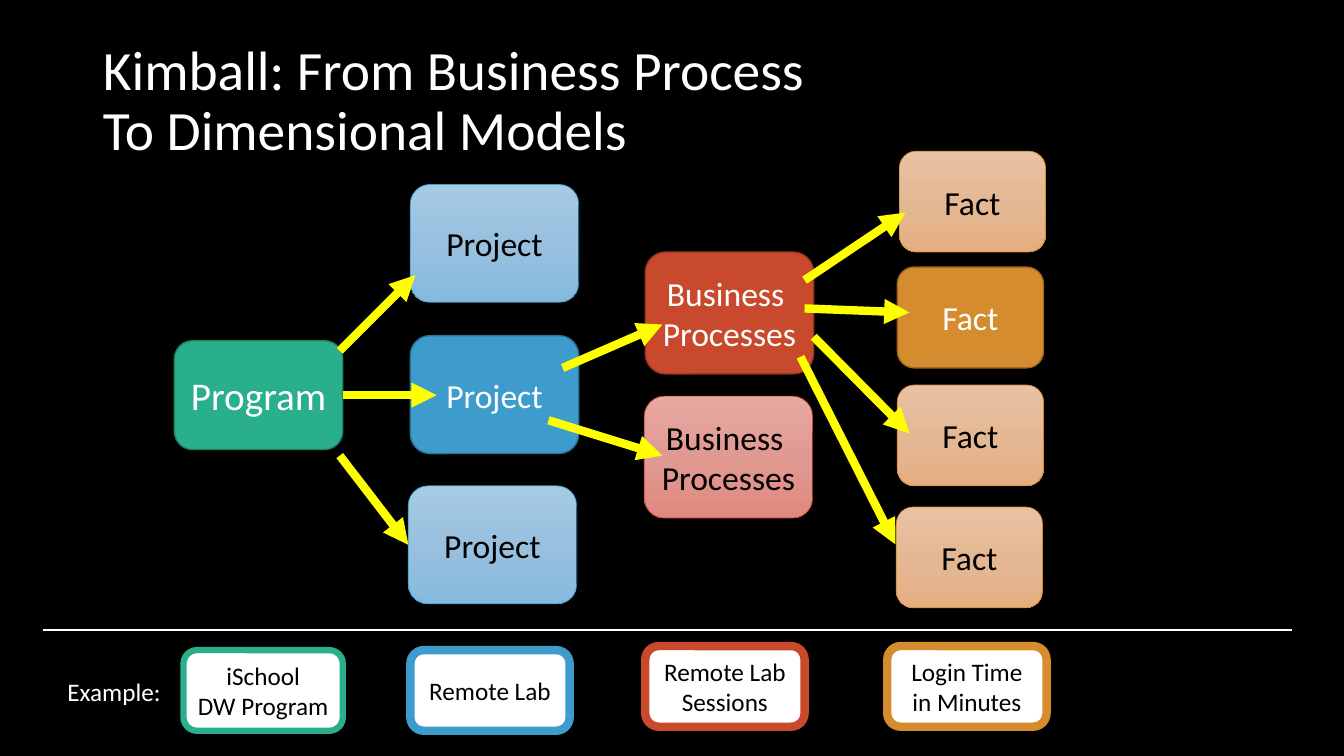
from copy import deepcopy

from lxml import etree
from pptx import Presentation
from pptx.dml.color import RGBColor
from pptx.enum import shapes, text
from pptx.oxml.ns import qn
from pptx.util import Inches, Pt

FONT = "Calibri"
C = {
    "black": "000000", "white": "FFFFFF", "arrow": "FFFF00",
    "green": "29AF8C", "blue": "3D9CCC", "red": "C9492C", "orange": "D58C2E",
}
EDGE = {"green": "1E8168", "blue": "2D7397", "red": "953621", "orange": "9E6822"}
PALE = {
    "blue": ("A6CAE4", "99C1DF", "85B9DE"),
    "red": ("E6A8A1", "E19A93", "E1887F"),
    "orange": ("E9C2A3", "E4B895", "E5AE81"),
}

TITLE = "Kimball: From Business Process \vTo Dimensional Models"
# wording, hue, text size, width, height, [(name, left, top, chosen)]
LEVELS = [
    ("Program", "green", 28, 1.67, 1.08, [("program", 1.73, 3.38, True)]),
    ("Project", "blue", 24, 1.67, 1.17, [
        ("project 1", 4.07, 1.83, False),
        ("project 2", 4.07, 3.33, True),
        ("project 3", 4.05, 4.82, False)]),
    ("Business \nProcesses", "red", 24, 1.67, 1.21, [
        ("process 1", 6.4, 2.5, True),
        ("process 2", 6.39, 3.93, False)]),
    ("Fact", "orange", 24, 1.45, 1.0, [
        ("fact 1", 8.92, 1.5, False),
        ("fact 2", 8.9, 2.65, True),
        ("fact 3", 8.9, 3.82, False),
        ("fact 4", 8.89, 5.03, False)]),
]
# start, end, box joined at its right side, box joined at its left side
ARROWS = [
    ((3.37, 3.48), (4.12, 2.73), None, None),
    ((3.4, 3.92), (4.33, 3.92), "program", None),
    ((3.37, 4.52), (4.05, 5.41), None, "project 3"),
    ((5.44, 4.17), (6.57, 4.52), None, None),
    ((5.58, 3.65), (6.57, 3.22), None, None),
    ((7.98, 2.78), (8.98, 2.11), None, None),
    ((8.07, 3.34), (9.02, 4.3), None, None),
    ((7.98, 3.06), (9.02, 3.1), None, None),
    ((7.94, 3.54), (8.88, 5.4), None, None),
]
# wording, hue, left, top, border width
EXAMPLES = [
    ("iSchool\vDW Program", "green", 1.82, 6.45, 4.5),
    ("Remote Lab", "blue", 4.07, 6.45, 6),
    ("Remote Lab\vSessions", "red", 6.4, 6.41, 6),
    ("Login Time in Minutes", "orange", 8.8, 6.41, 6),
]


def rgb(value):
    return RGBColor.from_string(value)


def write(sp, wording, size, color, align=None, anchor=None, wrap=True, spacing=None):
    tf = sp.text_frame
    tf.word_wrap = wrap
    tf.vertical_anchor = anchor
    tf.text = wording
    for p in tf.paragraphs:
        p.alignment = align
        p.line_spacing = spacing
        for r in p.runs:
            r.font.name = FONT
            r.font.size = Pt(size)
            r.font.color.rgb = rgb(color)


def shade(sp, colors):
    """Fill with three evenly spaced colours from top to bottom."""
    sp.fill.gradient()
    sp.fill.gradient_angle = 270
    stops = sp._element.spPr.find(qn("a:gradFill")).find(qn("a:gsLst"))
    stops.insert(1, deepcopy(stops[0]))
    for i, (stop, color) in enumerate(zip(sp.fill.gradient_stops, colors)):
        stop.position = i / 2
        stop.color.rgb = rgb(color)


def add_box(s, wording, box, fill, border, weight, size, color):
    sp = s.shapes.add_shape(shapes.MSO_SHAPE.ROUNDED_RECTANGLE, *map(Inches, box))
    sp.shadow.inherit = False
    if isinstance(fill, tuple):
        shade(sp, fill)
    else:
        sp.fill.solid()
        sp.fill.fore_color.rgb = rgb(fill)
    sp.line.color.rgb = rgb(border)
    sp.line.width = Pt(weight)
    write(sp, wording, size, color, text.PP_ALIGN.CENTER, text.MSO_ANCHOR.MIDDLE)
    return sp


def add_line(s, start, end, color, weight, arrow=False):
    line = s.shapes.add_connector(
        shapes.MSO_CONNECTOR.STRAIGHT, *map(Inches, start + end))
    line.line.color.rgb = rgb(color)
    line.line.width = Pt(weight)
    if arrow:
        etree.SubElement(line.line._get_or_add_ln(), qn("a:tailEnd"), type="triangle")
    etree.SubElement(line._element.spPr, qn("a:effectLst"))
    return line


def main():
    prs = Presentation()
    prs.slide_width, prs.slide_height = Inches(13.33), Inches(7.5)
    s = prs.slides.add_slide(prs.slide_layouts[5])
    s.background.fill.solid()
    s.background.fill.fore_color.rgb = rgb(C["black"])

    title = s.shapes.title
    title.left, title.top, title.width, title.height = map(Inches, (0.92, 0.4, 11.5, 1.24))
    write(title, TITLE, 39.6, C["white"], text.PP_ALIGN.LEFT,
          text.MSO_ANCHOR.MIDDLE, spacing=0.9)

    boxes = {}
    for wording, hue, size, width, height, places in LEVELS:
        for name, left, top, chosen in places:
            if chosen:
                look = (C[hue], EDGE[hue], 1, size, C["white"])
            else:
                look = (PALE[hue], C[hue], 0.5, size, C["black"])
            boxes[name] = add_box(s, wording, (left, top, width, height), *look)

    for start, end, source, target in ARROWS:
        arrow = add_line(s, start, end, C["arrow"], 6, arrow=True)
        if source:
            arrow.begin_connect(boxes[source], 3)
        if target:
            arrow.end_connect(boxes[target], 1)

    for wording, hue, left, top, weight in EXAMPLES:
        add_box(s, wording, (left, top, 1.58, 0.8), C["white"], C[hue], weight,
                18, C["black"])
    add_line(s, (0.43, 6.25), (12.81, 6.25), C["white"], 1.5)
    label = s.shapes.add_textbox(*map(Inches, (0.57, 6.66, 1.14, 0.4)))
    write(label, "Example:", 18, C["white"], wrap=False)

    prs.save("out.pptx")


if __name__ == "__main__":
    main()
